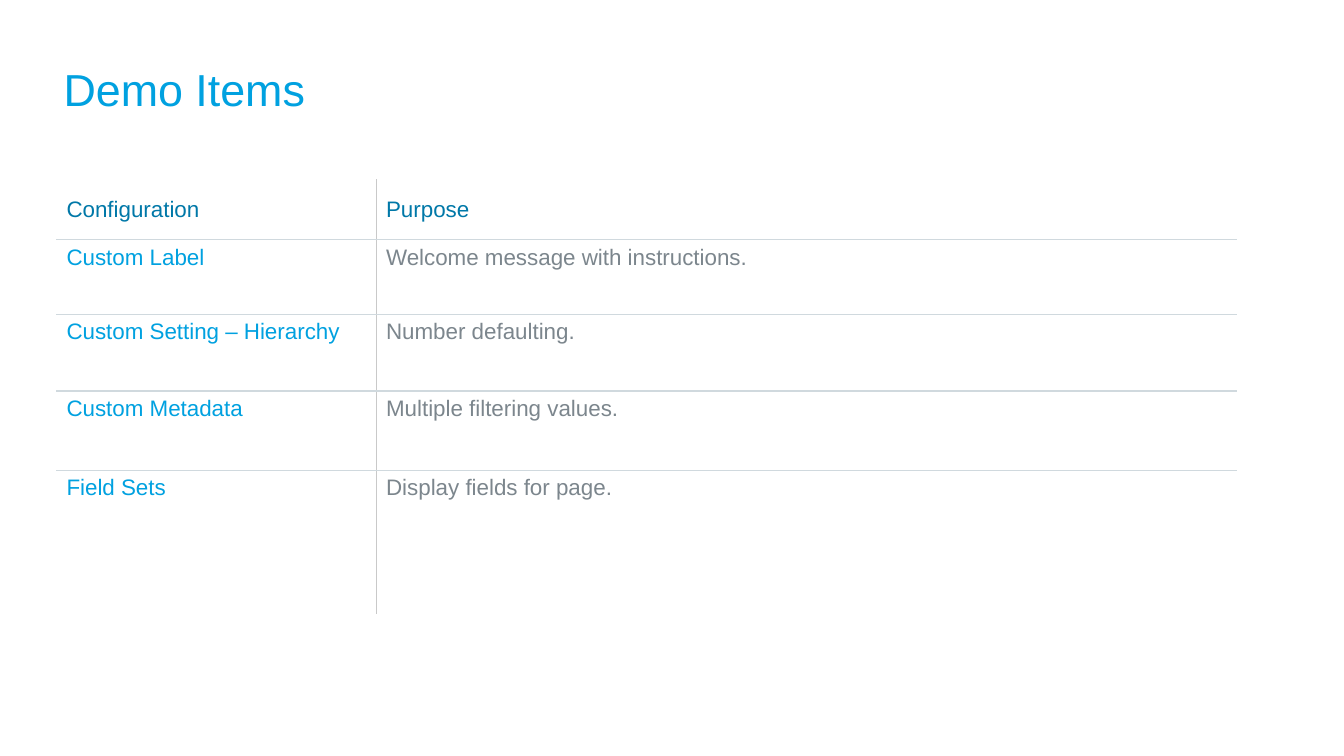
from lxml.etree import SubElement
from pptx import Presentation
from pptx.dml.color import RGBColor
from pptx.enum.text import MSO_ANCHOR as ANCHOR, PP_ALIGN as ALIGN
from pptx.oxml.ns import qn
from pptx.util import Inches, Pt

BLUE, DARK_BLUE, GREY = "00A1E0", "0078A8", "7C868D"
COLUMN_RULE = ("C9C9C9", 0.75)
ROW_RULE = ("D0D9DE", 1)
ROWS = [
    ("Configuration", "Purpose", 0.6),
    ("Custom Label", "Welcome message with instructions.", 0.74),
    ("Custom Setting – Hierarchy", "Number defaulting.", 0.76),
    ("Custom Metadata", "Multiple filtering values.", 0.79),
    ("Field Sets", "Display fields for page.", 1.42),
]
COL_WIDTHS = (3.17, 8.54)


def write(tf, text, size, color):
    p = tf.paragraphs[0]
    p.alignment = ALIGN.LEFT
    r = p.add_run()
    r.text = text
    for name, value in {"name": "Arial", "size": Pt(size), "bold": False}.items():
        setattr(r.font, name, value)
    r.font.color.rgb = RGBColor.from_string(color)


def set_borders(cell, borders):
    """Draw the (colour, points) border of each side; None leaves a side bare."""
    tc_pr = cell._tc.get_or_add_tcPr()
    for side, border in borders.items():
        ln = SubElement(tc_pr, qn(f"a:ln{side}"))
        if border is None:
            SubElement(ln, qn("a:noFill"))
            continue
        color, width = border
        ln.set("w", str(Pt(width)))
        fill = SubElement(ln, qn("a:solidFill"))
        SubElement(fill, qn("a:srgbClr"), val=color)


prs = Presentation()
prs.slide_width, prs.slide_height = Inches(13.33), Inches(7.5)
s = prs.slides.add_slide(prs.slide_layouts[5])

title = s.shapes.title
title.left, title.top = Inches(0.63), Inches(0.07)
title.width, title.height = Inches(12.08), Inches(1.08)
tf = title.text_frame
for name, value in {"margin_left": 0, "margin_top": 0, "margin_right": 0,
                    "margin_bottom": 0, "vertical_anchor": ANCHOR.BOTTOM}.items():
    setattr(tf, name, value)
write(tf, "Demo Items", 32, BLUE)

table = s.shapes.add_table(
    len(ROWS), len(COL_WIDTHS), Inches(0.56), Inches(1.78),
    Inches(sum(COL_WIDTHS)), Inches(sum(row[-1] for row in ROWS))).table
table.first_row = table.horz_banding = False
for column, width in zip(table.columns, COL_WIDTHS):
    column.width = Inches(width)

last = len(ROWS) - 1
for i, (*texts, height) in enumerate(ROWS):
    table.rows[i].height = Inches(height)
    colors = (DARK_BLUE, DARK_BLUE) if i == 0 else (BLUE, GREY)
    for j, (text, color) in enumerate(zip(texts, colors)):
        cell = table.cell(i, j)
        set_borders(cell, {
            "L": COLUMN_RULE if j == 1 else None,
            "R": COLUMN_RULE if j == 0 else None,
            "T": ROW_RULE if i > 0 else None,
            "B": ROW_RULE if i < last else None,
        })
        cell.fill.background()
        cell.vertical_anchor = ANCHOR.MIDDLE if i == 0 else ANCHOR.TOP
        write(cell.text_frame, text, 16, color)

prs.save("out.pptx")
